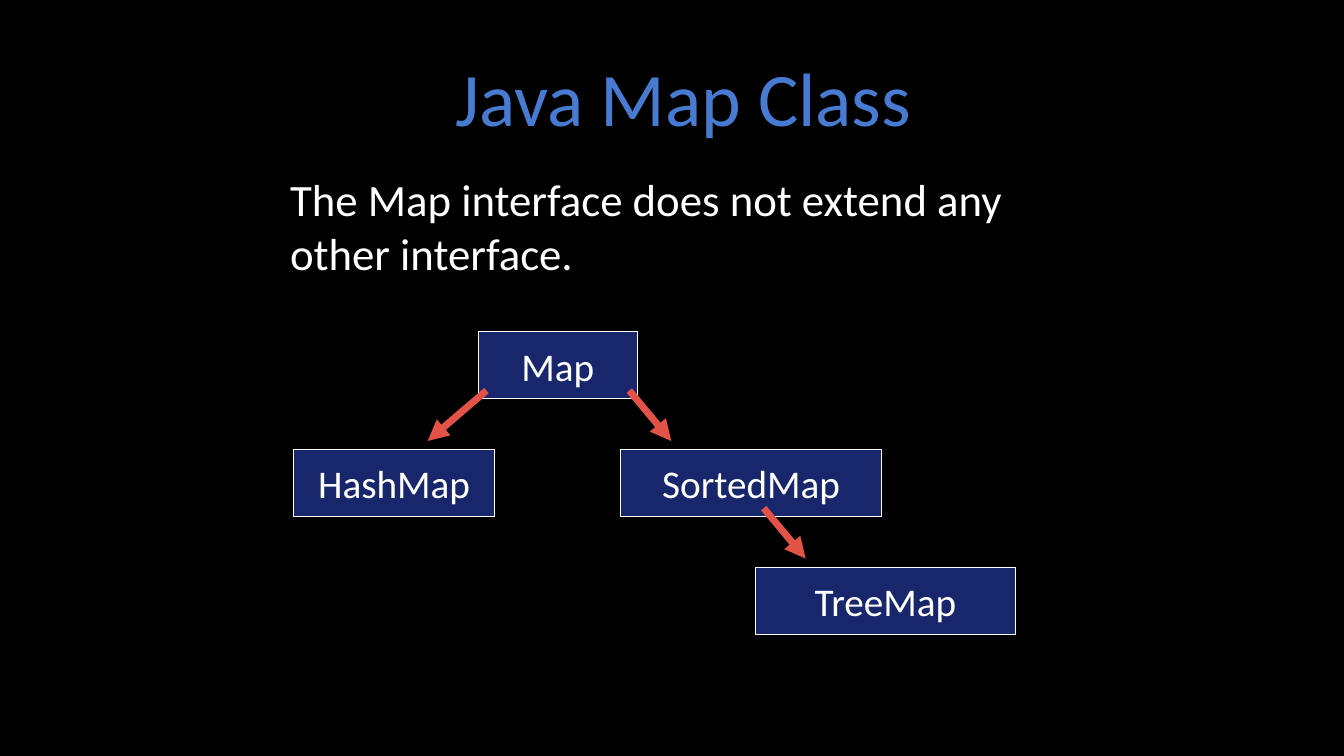
from lxml.etree import SubElement
from pptx import Presentation
from pptx.dml.color import RGBColor
from pptx.enum.shapes import MSO_CONNECTOR, MSO_SHAPE
from pptx.enum.text import MSO_ANCHOR, MSO_AUTO_SIZE, PP_ALIGN
from pptx.oxml.ns import qn
from pptx.util import Pt

BLACK = RGBColor(0x00, 0x00, 0x00)
WHITE = RGBColor(0xFF, 0xFF, 0xFF)
NAVY = RGBColor(0x18, 0x27, 0x6C)
BLUE = RGBColor(0x47, 0x7B, 0xD1)
RED = RGBColor(0xE2, 0x52, 0x47)

BOX_HEIGHT = 48
ROW_TOPS = [237 + 84 * row for row in range(3)]
ARROW_OVERLAP = 6
ARROW_DROP = 36


class SlideBuilder:
    def __init__(self, slide, font="Calibri"):
        self.slide = slide
        self.font = font
        slide.background.fill.solid()
        slide.background.fill.fore_color.rgb = BLACK

    def add_line(self, paragraph, text, size, color, align):
        paragraph.alignment = align
        paragraph.line_spacing = 1.0
        paragraph.space_before = Pt(0)
        run = paragraph.add_run()
        run.text = text
        run.font.name = self.font
        run.font.size = Pt(size)
        run.font.color.rgb = color

    def fill_placeholder(self, index, bounds, lines, size, color, align):
        """Move a template placeholder and write one unbulleted paragraph per line."""
        shape = self.slide.placeholders[index]
        shape.left, shape.top, shape.width, shape.height = map(Pt, bounds)
        frame = shape.text_frame
        frame.word_wrap = True
        frame.auto_size = MSO_AUTO_SIZE.NONE
        frame.vertical_anchor = MSO_ANCHOR.TOP
        for number, text in enumerate(lines):
            paragraph = frame.add_paragraph() if number else frame.paragraphs[0]
            self.add_line(paragraph, text, size, color, align)
            properties = paragraph._p.get_or_add_pPr()
            properties.set("marL", "0")
            properties.set("indent", "0")
            SubElement(properties, qn("a:buNone"))

    def add_type_box(self, name, row, left, width):
        shape = self.slide.shapes.add_shape(
            MSO_SHAPE.RECTANGLE, Pt(left), Pt(ROW_TOPS[row]), Pt(width), Pt(BOX_HEIGHT))
        shape.shadow.inherit = False
        shape.fill.solid()
        shape.fill.fore_color.rgb = NAVY
        shape.line.color.rgb = WHITE
        shape.line.width = Pt(0.75)
        frame = shape.text_frame
        frame.word_wrap = False
        frame.vertical_anchor = MSO_ANCHOR.MIDDLE
        self.add_line(frame.paragraphs[0], name, 28, WHITE, PP_ALIGN.CENTER)

    def add_arrow(self, row, start_x, end_x):
        """Point from the foot of one row down towards the next."""
        start_y = ROW_TOPS[row] + BOX_HEIGHT - ARROW_OVERLAP
        connector = self.slide.shapes.add_connector(
            MSO_CONNECTOR.STRAIGHT,
            Pt(start_x), Pt(start_y), Pt(end_x), Pt(start_y + ARROW_DROP))
        connector.line.color.rgb = RED
        connector.line.width = Pt(5)
        SubElement(connector.line._get_or_add_ln(), qn("a:tailEnd"), type="triangle")
        SubElement(connector._element.spPr, qn("a:effectLst"))


def main():
    presentation = Presentation()
    presentation.slide_width = Pt(960)
    presentation.slide_height = Pt(540)
    slide = presentation.slides.add_slide(presentation.slide_layouts[1])
    builder = SlideBuilder(slide)

    builder.fill_placeholder(0, (128, 33, 720, 73), ["Java Map Class"],
                             54, BLUE, PP_ALIGN.CENTER)
    builder.fill_placeholder(1, (200, 119, 600, 85),
                             ["The Map interface does not extend any", "other interface."],
                             32, WHITE, PP_ALIGN.LEFT)

    for name, row, left, width in [
        ("Map", 0, 341.5, 114),
        ("HashMap", 1, 209.5, 144),
        ("SortedMap", 1, 443.5, 186),
        ("TreeMap", 2, 539.5, 186),
    ]:
        builder.add_type_box(name, row, left, width)

    for row, start_x, end_x in [(0, 347.5, 305.5), (0, 449.5, 479.5), (1, 545.5, 575.5)]:
        builder.add_arrow(row, start_x, end_x)

    presentation.save("out.pptx")


if __name__ == "__main__":
    main()
